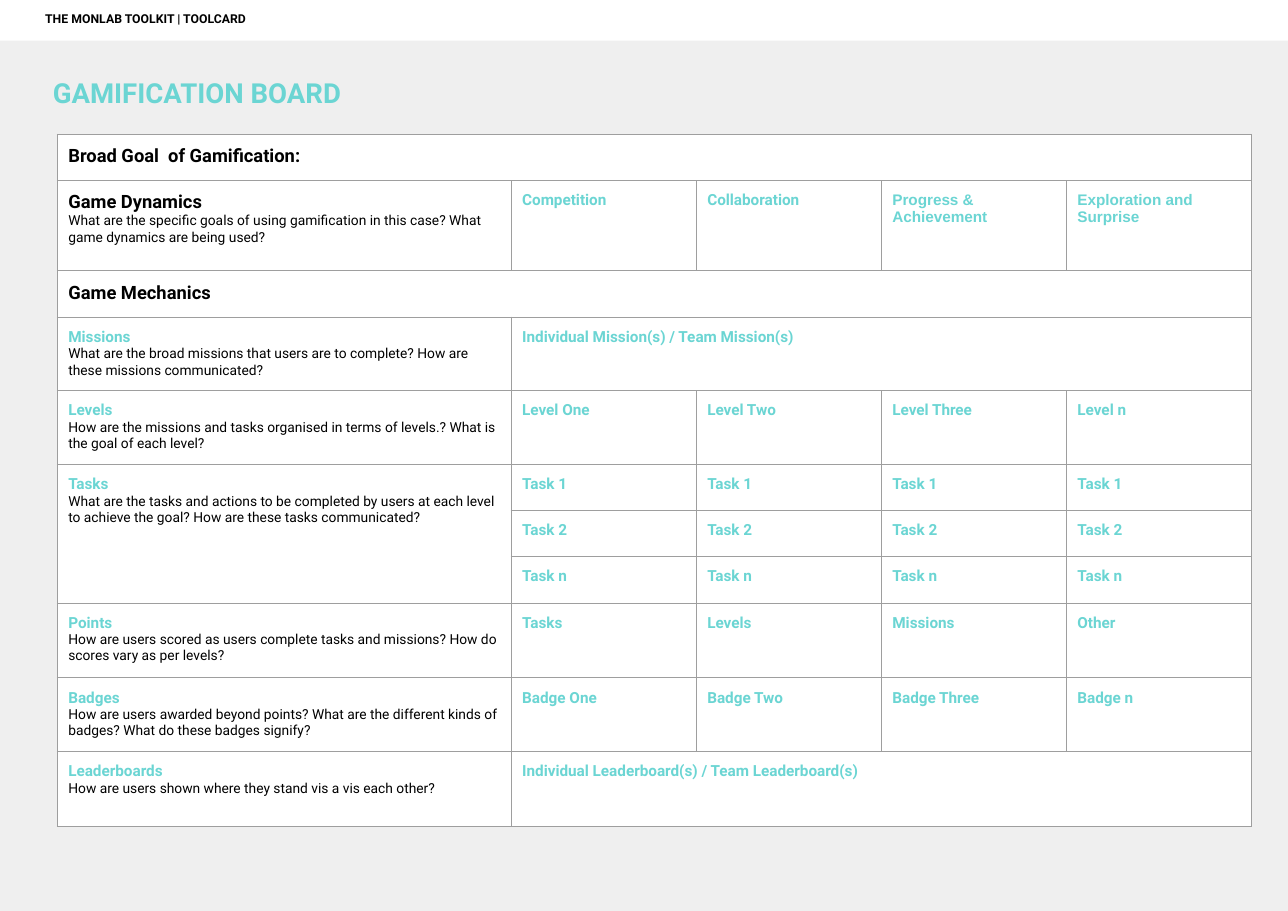
from lxml.etree import SubElement
from pptx import Presentation
from pptx.dml.color import RGBColor
from pptx.enum.shapes import MSO_SHAPE
from pptx.enum.text import MSO_ANCHOR, PP_ALIGN
from pptx.oxml.ns import qn
from pptx.util import Inches, Pt

COLOURS = {"teal": "6BD5D3", "black": "000000", "white": "FFFFFF",
           "backdrop": "EFEFEF", "border": "9E9E9E"}
FORMATS = {
    "title": {"size": Pt(18), "bold": True, "colour": "teal"},
    "header": {"size": Pt(8), "bold": True, "colour": "black"},
    "section": {"size": Pt(12), "bold": True, "colour": "black"},
    "label": {"size": Pt(10), "bold": True, "colour": "teal"},
    "arial label": {"size": Pt(10), "bold": True, "colour": "teal", "name": "Arial"},
    "question": {"size": Pt(9), "bold": False, "colour": "black"},
}
MARGIN = 0.1
COLUMN_WIDTHS = [4.12] + [1.68] * 4
ARIAL_LABELS = ("Progress & Achievement", "Exploration and Surprise")

# Row height, heading, heading format, question, labels to the right
BOARD_ROWS = [
    (0.42, "Broad Goal  of Gamification:", "section", "", []),
    (0.82, "Game Dynamics", "section",
     "What are the specific goals of using gamification in this case? "
     "What game dynamics are being used?",
     ["Competition", "Collaboration", *ARIAL_LABELS]),
    (0.42, "Game Mechanics", "section", "", []),
    (0.65, "Missions", "label",
     "What are the broad missions that users are to complete? "
     "How are these missions communicated?",
     ["Individual Mission(s) / Team Mission(s)"]),
    (0.65, "Levels", "label",
     "How are the missions and tasks organised in terms of levels.? "
     "What is the goal of each level?",
     ["Level One", "Level Two", "Level Three", "Level n"]),
    (0.42, "Tasks", "label",
     "What are the tasks and actions to be completed by users at each level "
     "to achieve the goal? How are these tasks communicated?",
     ["Task 1"] * 4),
    (0.42, "", "label", "", ["Task 2"] * 4),
    (0.42, "", "label", "", ["Task n"] * 4),
    (0.68, "Points", "label",
     "How are users scored as users complete tasks and missions? "
     "How do scores vary as per levels?",
     ["Tasks", "Levels", "Missions", "Other"]),
    (0.66, "Badges", "label",
     "How are users awarded beyond points? What are the different kinds of badges? "
     "What do these badges signify?",
     ["Badge One", "Badge Two", "Badge Three", "Badge n"]),
    (0.68, "Leaderboards", "label",
     "How are users shown where they stand vis a vis each other?",
     ["Individual Leaderboard(s) / Team Leaderboard(s)"]),
]


def colour(name):
    return RGBColor.from_string(COLOURS[name])


def write_paragraph(paragraph, text, format_name):
    run = paragraph.add_run()
    run.text = text
    paragraph.alignment = PP_ALIGN.LEFT
    for attribute, value in {"name": "Roboto", **FORMATS[format_name]}.items():
        if attribute == "colour":
            run.font.color.rgb = colour(value)
        else:
            setattr(run.font, attribute, value)


def set_margins(target, left=MARGIN):
    for side in ("top", "right", "bottom"):
        setattr(target, f"margin_{side}", Inches(MARGIN))
    target.margin_left = Inches(left)
    target.vertical_anchor = MSO_ANCHOR.TOP


def add_band(slide, width, height, fill):
    """Add a plain rectangle that starts at the slide's top left corner."""
    shape = slide.shapes.add_shape(MSO_SHAPE.RECTANGLE, 0, 0, Inches(width), Inches(height))
    shape.shadow.inherit = False
    shape.fill.solid()
    shape.fill.fore_color.rgb = colour(fill)
    shape.line.fill.background()
    return shape


def write_line(shape, text, format_name, left):
    frame = shape.text_frame
    frame.word_wrap = True
    set_margins(frame, left)
    write_paragraph(frame.paragraphs[0], text, format_name)


def style_cell(cell):
    properties = cell._tc.get_or_add_tcPr()
    for edge in ("a:lnL", "a:lnR", "a:lnT", "a:lnB"):
        line = SubElement(properties, qn(edge), w=str(Pt(0.75)))
        fill = SubElement(line, qn("a:solidFill"))
        SubElement(fill, qn("a:srgbClr"), val=COLOURS["border"])
    cell.fill.solid()
    cell.fill.fore_color.rgb = colour("white")


def write_cell(cell, lines):
    set_margins(cell)
    frame = cell.text_frame
    for index, (text, format_name) in enumerate(lines):
        paragraph = frame.add_paragraph() if index else frame.paragraphs[0]
        write_paragraph(paragraph, text, format_name)


def add_board(slide):
    heights = [row[0] for row in BOARD_ROWS]
    table = slide.shapes.add_table(
        len(heights), len(COLUMN_WIDTHS), Inches(0.52), Inches(1.22),
        Inches(sum(COLUMN_WIDTHS)), Inches(sum(heights))).table
    table.first_row = table.horz_banding = False
    for column, width in zip(table.columns, COLUMN_WIDTHS):
        column.width = Inches(width)
    for cell in table.iter_cells():
        style_cell(cell)

    last_column = len(COLUMN_WIDTHS) - 1
    for index, (height, heading, heading_format, question, labels) in enumerate(BOARD_ROWS):
        table.rows[index].height = Inches(height)
        if len(labels) < 2:
            table.cell(index, len(labels)).merge(table.cell(index, last_column))
        if heading == "Tasks":
            table.cell(index, 0).merge(table.cell(index + 2, 0))
        if heading:
            lines = [(heading, heading_format)]
            if question:
                lines.append((question, "question"))
            write_cell(table.cell(index, 0), lines)
        for column, label in enumerate(labels, start=1):
            label_format = "arial label" if label in ARIAL_LABELS else "label"
            write_cell(table.cell(index, column), [(label, label_format)])


def main():
    presentation = Presentation()
    presentation.slide_width = Inches(11.69)
    presentation.slide_height = Inches(8.27)
    slide = presentation.slides.add_slide(presentation.slide_layouts[6])

    add_band(slide, 11.69, 8.27, "backdrop")
    title = slide.shapes.add_textbox(Inches(0), Inches(0.59), Inches(6.64), Inches(0.75))
    write_line(title, "GAMIFICATION BOARD", "title", 0.48)
    add_board(slide)
    header = add_band(slide, 11.71, 0.37, "white")
    write_line(header, "THE MONLAB TOOLKIT | TOOLCARD", "header", 0.41)

    presentation.save("out.pptx")


if __name__ == "__main__":
    main()
